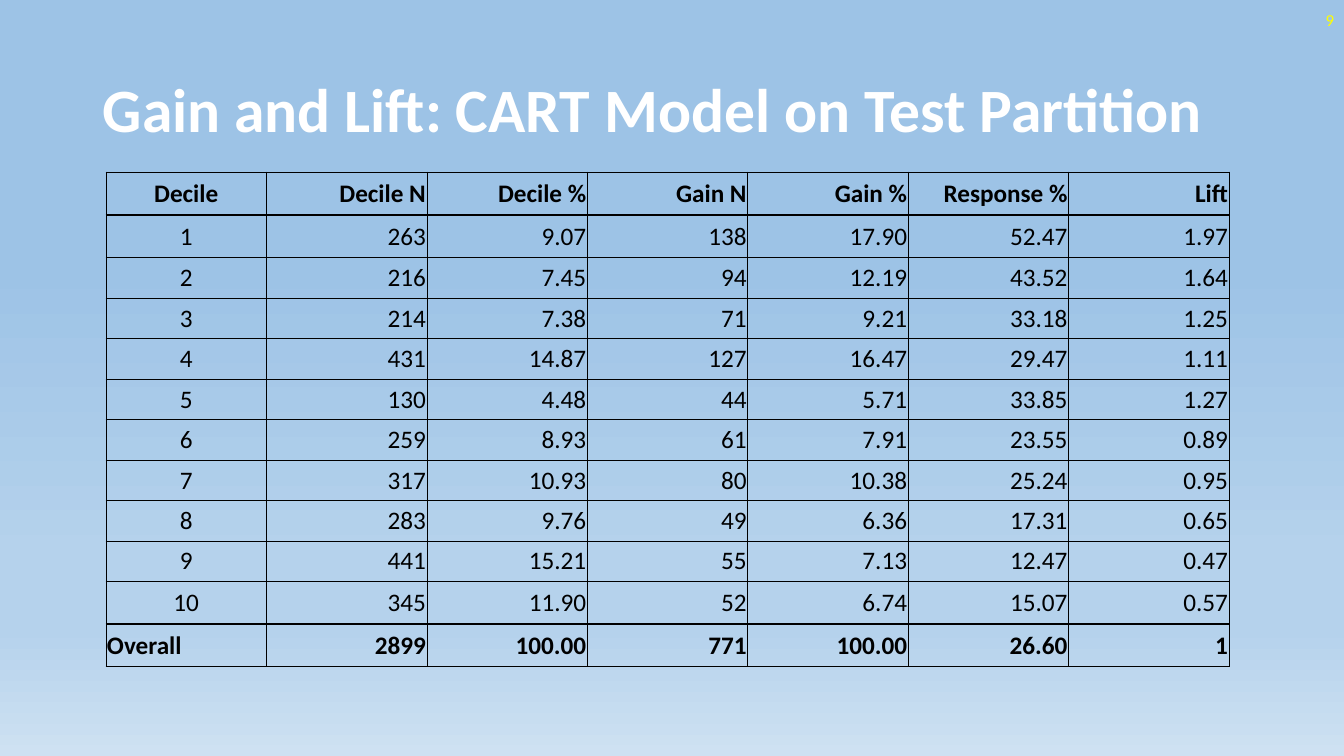
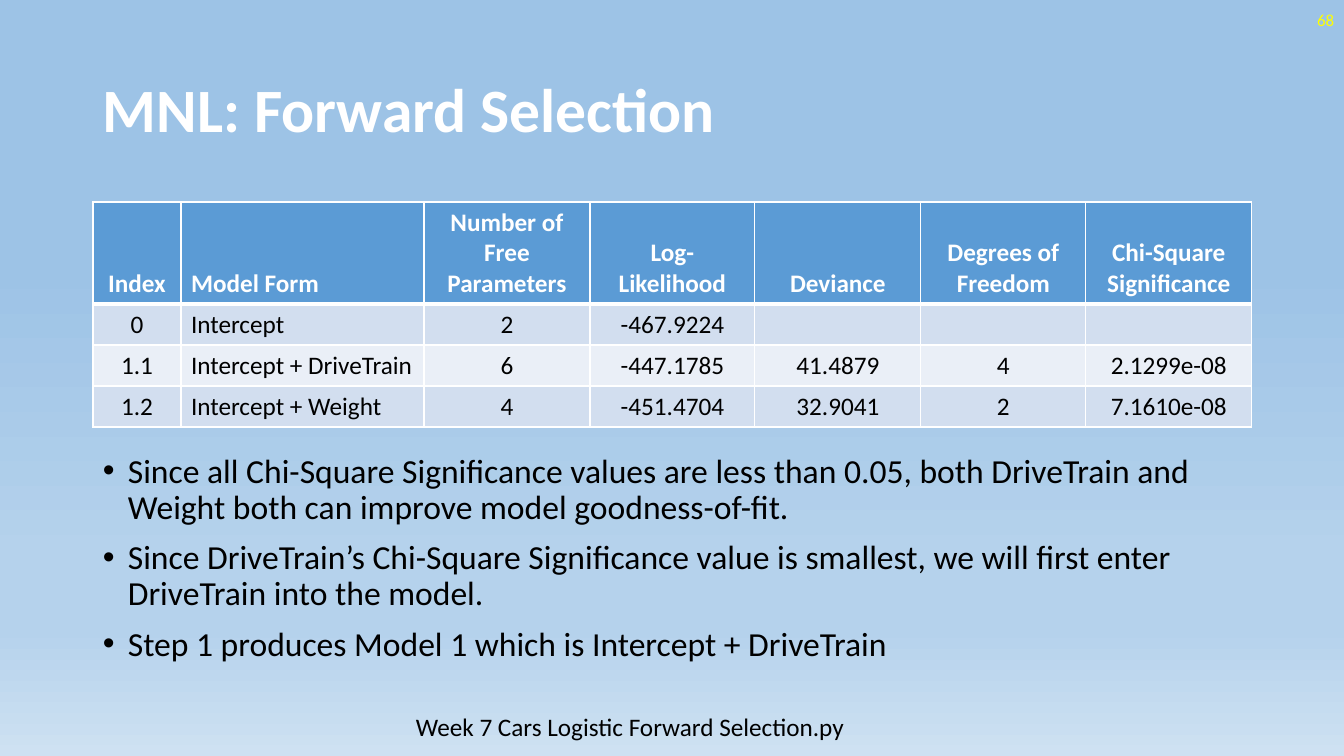
from lxml.etree import SubElement
from pptx import Presentation
from pptx.dml.color import RGBColor
from pptx.enum.text import MSO_ANCHOR, PP_ALIGN
from pptx.oxml.ns import qn
from pptx.util import Pt

PX = 9071
FONT = "Calibri"
COLORS = {
    "sky": "9DC3E6",
    "haze": "B5D2EC",
    "mist": "CEE1F2",
    "header": "5B9BD5",
    "band_dark": "D2DEEF",
    "band_light": "EAEFF7",
    "white": "FFFFFF",
    "black": "000000",
    "yellow": "FFFF00",
}


def add_text(page, area, lines, size, color, bold=False, align=PP_ALIGN.LEFT,
             anchor=MSO_ANCHOR.TOP, spacing=None, bullets=False, wrap=True):
    box = page.shapes.add_textbox(*[value * PX for value in area])
    frame = box.text_frame
    frame.word_wrap = wrap
    frame.vertical_anchor = anchor
    frame.text = "\n".join(lines)
    for index, para in enumerate(frame.paragraphs):
        para.alignment = align
        para.line_spacing = spacing
        if bullets:
            if index:
                para.space_before = Pt(10)
            properties = para._p.get_or_add_pPr()
            properties.set("marL", str(25 * PX))
            properties.set("indent", str(-25 * PX))
            SubElement(properties, qn("a:buFont")).set("typeface", "Arial")
            SubElement(properties, qn("a:buChar")).set("char", "•")
        for span in para.runs:
            span.font.name = FONT
            span.font.size = Pt(size)
            span.font.bold = bold
            span.font.color.rgb = RGBColor.from_string(COLORS[color])


def style_cell(cell, text, color, bold, align, anchor, fill, line_color, widths):
    cell.text = text
    cell.vertical_anchor = anchor
    if fill:
        cell.fill.solid()
        cell.fill.fore_color.rgb = RGBColor.from_string(COLORS[fill])
    else:
        cell.fill.background()
    para = cell.text_frame.paragraphs[0]
    para.alignment = align
    for span in para.runs:
        span.font.name = FONT
        span.font.size = Pt(18)
        span.font.bold = bold
        span.font.color.rgb = RGBColor.from_string(COLORS[color])
    properties = cell._tc.get_or_add_tcPr()
    for position, (side, width) in enumerate(zip("LRTB", widths)):
        line = SubElement(properties, qn(f"a:ln{side}"))
        line.set("w", str(Pt(width)))
        solid = SubElement(line, qn("a:solidFill"))
        SubElement(solid, qn("a:srgbClr")).set("val", COLORS[line_color])
        properties.insert(position, line)


deck = Presentation()
deck.slide_width = 1344 * PX
deck.slide_height = 756 * PX

background = deck.slide_master.background.fill
background.gradient()
background.gradient_angle = 270
stops = deck.slide_master.background._cSld.find(".//" + qn("a:gsLst"))
for stop in list(stops):
    stops.remove(stop)
for percent, name in [(35, "sky"), (74, "haze"), (83, "haze"), (100, "mist")]:
    stop = SubElement(stops, qn("a:gs"))
    stop.set("pos", str(percent * 1000))
    SubElement(stop, qn("a:srgbClr")).set("val", COLORS[name])

pages = []
for title, number in [("Gain and Lift: CART Model on Test Partition", "9"),
                      ("MNL: Forward Selection", "68")]:
    page = deck.slides.add_slide(deck.slide_layouts[6])
    add_text(page, (93, 40, 1159, 146), [title], 44, "white", bold=True,
             anchor=MSO_ANCHOR.MIDDLE, spacing=0.9)
    add_text(page, (1042, 0, 302, 40), [number], 12, "yellow",
             align=PP_ALIGN.RIGHT, anchor=MSO_ANCHOR.MIDDLE)
    pages.append(page)
gain_page, selection_page = pages

gain_rows = [
    ("Decile", "Decile N", "Decile %", "Gain N", "Gain %", "Response %", "Lift"),
    ("1", "263", "9.07", "138", "17.90", "52.47", "1.97"),
    ("2", "216", "7.45", "94", "12.19", "43.52", "1.64"),
    ("3", "214", "7.38", "71", "9.21", "33.18", "1.25"),
    ("4", "431", "14.87", "127", "16.47", "29.47", "1.11"),
    ("5", "130", "4.48", "44", "5.71", "33.85", "1.27"),
    ("6", "259", "8.93", "61", "7.91", "23.55", "0.89"),
    ("7", "317", "10.93", "80", "10.38", "25.24", "0.95"),
    ("8", "283", "9.76", "49", "6.36", "17.31", "0.65"),
    ("9", "441", "15.21", "55", "7.13", "12.47", "0.47"),
    ("10", "345", "11.90", "52", "6.74", "15.07", "0.57"),
    ("Overall", "2899", "100.00", "771", "100.00", "26.60", "1"),
]
last = len(gain_rows) - 1
gain_table = gain_page.shapes.add_table(
    len(gain_rows), 7, 106 * PX, 172 * PX, 1123 * PX, 495 * PX).table
for row, height in zip(gain_table.rows, [43, 42] + [41, 40] * 4 + [43, 43]):
    row.height = height * PX
for r, values in enumerate(gain_rows):
    top = 2 if r in (1, last) else 0.5
    bottom = 2 if r in (0, last - 1) else 0.5
    for c, value in enumerate(values):
        cell = gain_table.cell(r, c)
        cell.margin_left = cell.margin_right = cell.margin_top = PX
        cell.margin_bottom = 0
        if c:
            align = PP_ALIGN.RIGHT
        else:
            align = PP_ALIGN.LEFT if r == last else PP_ALIGN.CENTER
        style_cell(cell, value, "black", r in (0, last), align, MSO_ANCHOR.MIDDLE,
                   None, "black", (0.5, 0.5, top, bottom))

selection_rows = [
    ("Index", "Model Form", "Number of Free Parameters", "Log-Likelihood",
     "Deviance", "Degrees of Freedom", "Chi-Square Significance"),
    ("0", "Intercept", "2", "-467.9224", "", "", ""),
    ("1.1", "Intercept + DriveTrain", "6", "-447.1785", "41.4879", "4", "2.1299e-08"),
    ("1.2", "Intercept + Weight", "4", "-451.4704", "32.9041", "2", "7.1610e-08"),
]
selection_table = selection_page.shapes.add_table(
    len(selection_rows), 7, 93 * PX, 202 * PX, 1159 * PX, 225 * PX).table
for column, width in zip(selection_table.columns, [88, 243, 166, 165, 166, 165, 166]):
    column.width = width * PX
for row, height in zip(selection_table.rows, [102, 41, 41, 41]):
    row.height = height * PX
for r, values in enumerate(selection_rows):
    header = r == 0
    fill = "header" if header else ("band_light", "band_dark")[r % 2]
    for c, value in enumerate(values):
        style_cell(selection_table.cell(r, c), value,
                   "white" if header else "black", header,
                   PP_ALIGN.LEFT if c == 1 else PP_ALIGN.CENTER,
                   MSO_ANCHOR.BOTTOM if header else MSO_ANCHOR.MIDDLE,
                   fill, "white", (1, 1, 3 if r == 1 else 1, 3 if header else 1))

add_text(selection_page, (93, 449, 1159, 233), [
    "Since all Chi-Square Significance values are less than 0.05, both DriveTrain "
    "and Weight both can improve model goodness-of-fit.",
    "Since DriveTrain’s Chi-Square Significance value is smallest, we will first "
    "enter DriveTrain into the model.",
    "Step 1 produces Model 1 which is Intercept + DriveTrain",
], 24, "black", spacing=0.9, bullets=True)
add_text(selection_page, (406, 706, 454, 40),
         ["Week 7 Cars Logistic Forward Selection.py"], 18, "black", wrap=False)

deck.save("out.pptx")
